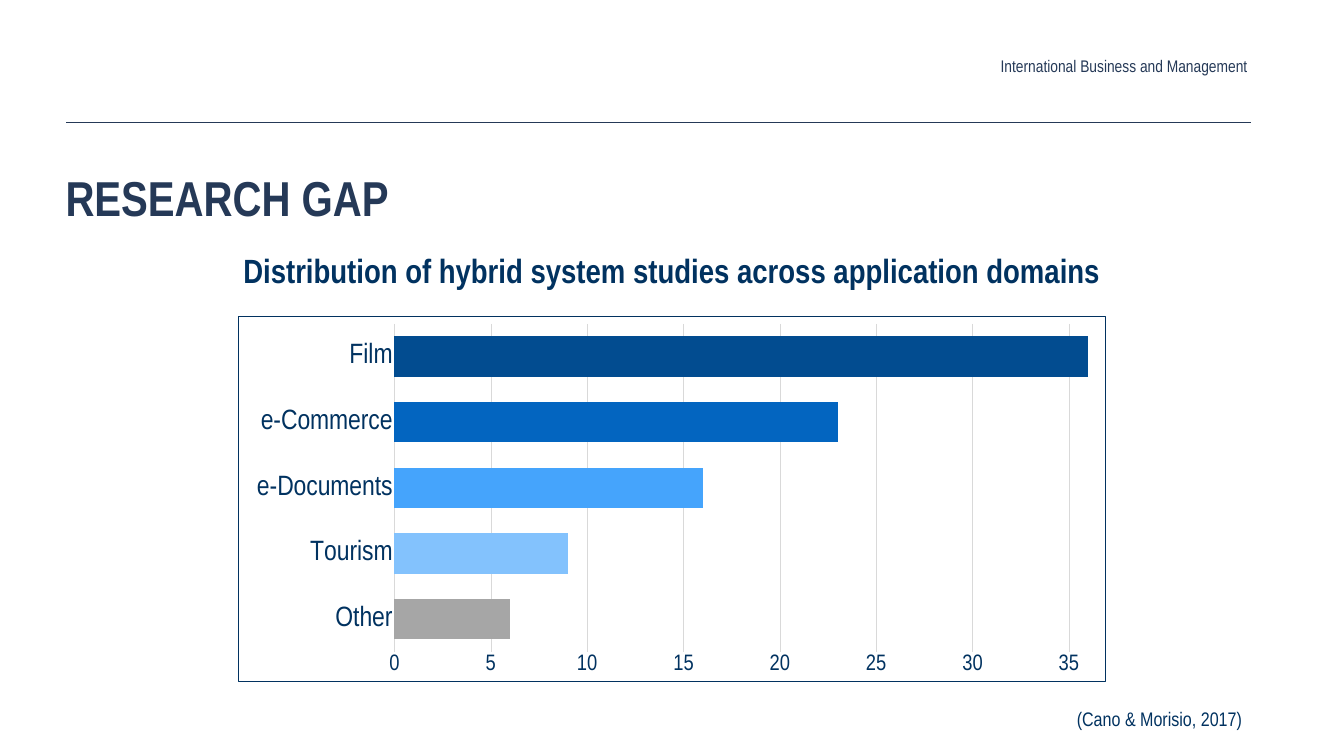
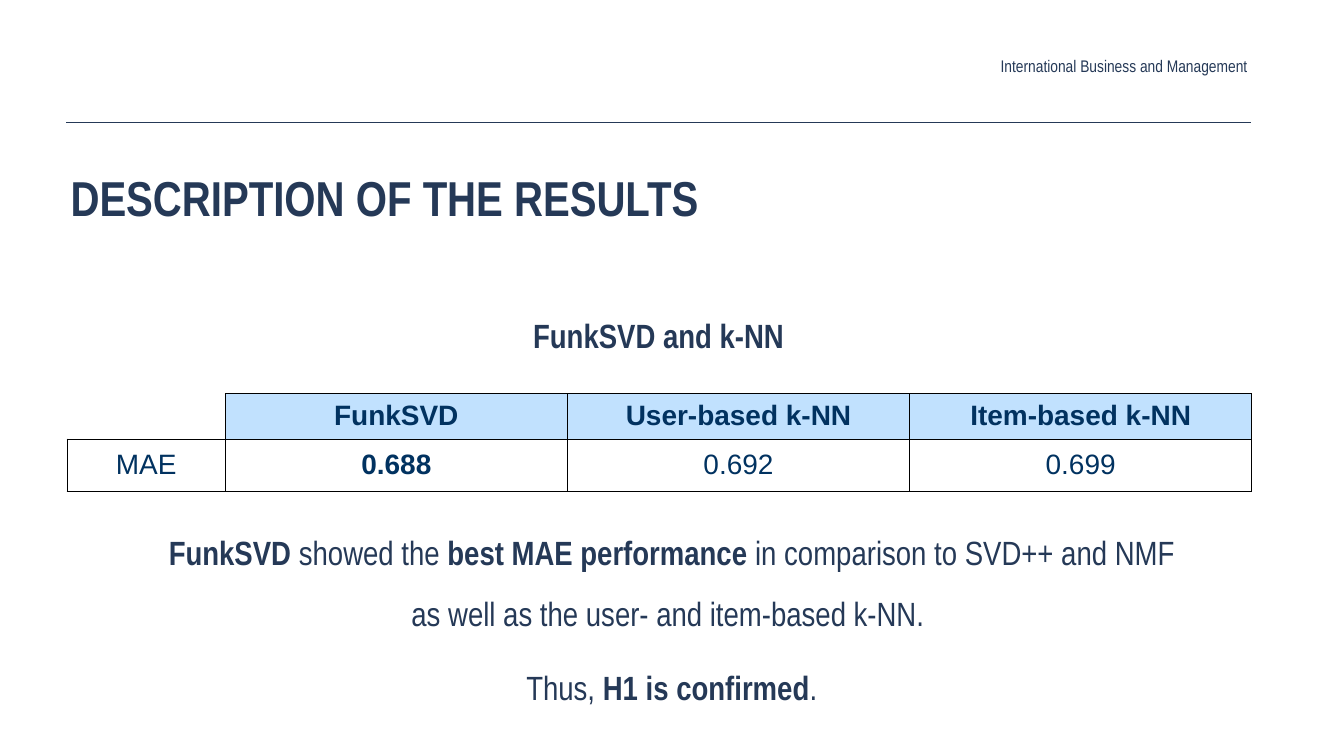
"""Build two research slides: a bar chart of application domains and a results table."""
import pptx
import pptx.chart.data
import pptx.dml.color
import pptx.enum.chart
import pptx.enum.shapes
import pptx.enum.text
import pptx.oxml
import pptx.oxml.ns
import pptx.util

RGBColor = pptx.dml.color.RGBColor
ALIGN = pptx.enum.text.PP_ALIGN
ANCHOR = pptx.enum.text.MSO_ANCHOR
NS = pptx.oxml.ns.nsdecls("a", "c")

INK = RGBColor(0x25, 0x39, 0x57)
NAVY = RGBColor(0x01, 0x32, 0x60)
BLACK = RGBColor(0, 0, 0)
GRID = RGBColor(0xD9, 0xD9, 0xD9)
HEADER_FILL = RGBColor(0xC1, 0xE1, 0xFE)
SERIES_BLUE = RGBColor(0x03, 0x65, 0xC0)

PX = 9144
WIDTH, HEIGHT = 2667, 1500
RULE = (131, 242, 2483, 242)
NARROW = "Arial Narrow"

PROGRAMME = "International Business and Management"

GAP_TITLE = "RESEARCH GAP"
CHART_TITLE = "Distribution of hybrid system studies across application domains"
CITATION = "(Cano & Morisio, 2017) "
DOMAINS = [
    ("Other", 6, RGBColor(0xA6, 0xA6, 0xA6)),
    ("Tourism", 9, RGBColor(0x83, 0xC2, 0xFD)),
    ("e-Documents", 16, RGBColor(0x45, 0xA4, 0xFC)),
    ("e-Commerce", 23, SERIES_BLUE),
    ("Film", 36, RGBColor(0x02, 0x4C, 0x90)),
]
PLOT_LAYOUT = {"x": 0.18, "y": 0.02, "w": 0.8, "h": 0.9}

RESULTS_TITLE = "DESCRIPTION OF THE RESULTS"
TABLE_TITLE = "FunkSVD and k-NN"
RESULTS = [
    ["", "FunkSVD", "User-based k-NN", "Item-based k-NN"],
    ["MAE", "0.688", "0.692", "0.699"],
]
BEST = "0.688"
COLUMNS = [314, 679, 679, 679]
ROWS = [90, 104]
FINDINGS = [
    [
        ("FunkSVD", True),
        (" showed the ", False),
        ("best MAE performance ", True),
        ("in comparison to SVD++ and NMF as well as the user- and item-based k-NN. ", False),
    ],
    [("Thus, ", False), ("H1 is confirmed", True), (".", False)],
]


def px(*lengths):
    return [pptx.util.Emu(n * PX) for n in lengths]


def style(font, size, color, bold=False, name=NARROW):
    font.size = pptx.util.Pt(size)
    font.name = name
    font.bold = bold
    font.color.rgb = color


def add_text(s, box, paragraphs, size, color, align=ALIGN.LEFT, inset=None,
             anchor=ANCHOR.TOP, grow=False, spacing=None, before=0):
    tf = s.shapes.add_textbox(*px(*box)).text_frame
    tf.word_wrap = True
    tf.vertical_anchor = anchor
    if grow:
        tf.auto_size = pptx.enum.text.MSO_AUTO_SIZE.SHAPE_TO_FIT_TEXT
    if inset is not None:
        tf.margin_left, tf.margin_top, tf.margin_right, tf.margin_bottom = px(*[inset] * 4)
    for i, runs in enumerate(paragraphs):
        p = tf.add_paragraph() if i else tf.paragraphs[0]
        p.alignment = align
        if spacing:
            p.line_spacing = spacing
        if i and before:
            p.space_before = pptx.util.Pt(before)
        for text, bold in runs:
            r = p.add_run()
            r.text = text
            style(r.font, size, color, bold)


def add_body(s, box, paragraphs):
    add_text(s, box, paragraphs, 48, INK, ALIGN.CENTER, inset=6, spacing=1.5, before=20)


def add_base(prs, title, left):
    s = prs.slides.add_slide(prs.slide_layouts[6])
    add_text(s, (left, 325, 2352, 253), [[(title, True)]], 70, INK, inset=8)
    line = s.shapes.add_connector(pptx.enum.shapes.MSO_CONNECTOR.STRAIGHT, *px(*RULE))
    line.line.color.rgb = INK
    line.line.width = pptx.util.Pt(1)
    line._element.spPr.append(pptx.oxml.parse_xml(f"<a:effectLst {NS}/>"))
    add_text(s, (1240, 103, 1243, 56), [[(PROGRAMME, False)]], 24, INK, ALIGN.RIGHT,
             inset=8, anchor=ANCHOR.MIDDLE, grow=True)
    return s


def add_domain_chart(s, box):
    data = pptx.chart.data.CategoryChartData()
    data.categories = [name for name, _, _ in DOMAINS]
    data.add_series("Series 1", [value for _, value, _ in DOMAINS])
    kind = pptx.enum.chart.XL_CHART_TYPE.BAR_CLUSTERED
    chart = s.shapes.add_chart(kind, *px(*box), data).chart
    chart.has_legend = False
    chart.has_title = False
    style(chart.font, 10, BLACK)

    plot = chart.plots[0]
    plot.gap_width = 63
    plot.vary_by_categories = False
    series = plot.series[0]
    series.format.fill.solid()
    series.format.fill.fore_color.rgb = SERIES_BLUE
    for i, (_, _, color) in enumerate(DOMAINS):
        fill = series.points[i].format.fill
        fill.solid()
        fill.fore_color.rgb = color

    cat, val = chart.category_axis, chart.value_axis
    for axis, size in ((cat, 40), (val, 32)):
        axis.major_tick_mark = axis.minor_tick_mark = pptx.enum.chart.XL_TICK_MARK.NONE
        style(axis.tick_labels.font, size, NAVY)
    val.minimum_scale, val.maximum_scale, val.major_unit = 0, 36, 5
    val.format.line.fill.background()
    for line in (cat.format.line, val.major_gridlines.format.line):
        line.color.rgb = GRID
        line.width = pptx.util.Pt(0.75)

    space = chart._chartSpace
    parts = "".join(f'<c:{k} val="{v}"/>' for k, v in PLOT_LAYOUT.items())
    area = space.chart.plotArea
    for old in area.findall(pptx.oxml.ns.qn("c:layout")):
        area.remove(old)
    area.insert(0, pptx.oxml.parse_xml(
        f'<c:layout {NS}><c:manualLayout><c:layoutTarget val="inner"/>'
        f'<c:xMode val="edge"/><c:yMode val="edge"/>{parts}</c:manualLayout></c:layout>'))
    space.chart.addnext(pptx.oxml.parse_xml(
        f'<c:spPr {NS}><a:noFill/><a:ln w="{pptx.util.Pt(1.5)}"><a:solidFill>'
        f'<a:srgbClr val="{NAVY}"/></a:solidFill></a:ln></c:spPr>'))


def set_borders(cell, sides):
    tc_pr = cell._tc.get_or_add_tcPr()
    for i, side in enumerate("LRTB"):
        fill = f'<a:solidFill><a:srgbClr val="{BLACK}"/></a:solidFill>'
        if side not in sides:
            fill = "<a:noFill/>"
        tc_pr.insert(i, pptx.oxml.parse_xml(
            f'<a:ln{side} {NS} w="{pptx.util.Pt(1)}">{fill}</a:ln{side}>'))


def add_results_table(s, left, top):
    box = px(left, top, sum(COLUMNS), sum(ROWS))
    table = s.shapes.add_table(len(ROWS), len(COLUMNS), *box).table
    table.first_row = table.horz_banding = False
    for column, width in zip(table.columns, px(*COLUMNS)):
        column.width = width
    for row, height in zip(table.rows, px(*ROWS)):
        row.height = height
    for i, texts in enumerate(RESULTS):
        for j, text in enumerate(texts):
            cell = table.cell(i, j)
            cell.vertical_anchor = ANCHOR.MIDDLE
            if i == 0 and text:
                cell.fill.solid()
                cell.fill.fore_color.rgb = HEADER_FILL
            else:
                cell.fill.background()
            set_borders(cell, "LRTB" if text else "RB")
            if text:
                p = cell.text_frame.paragraphs[0]
                p.alignment = ALIGN.CENTER
                r = p.add_run()
                r.text = text
                style(r.font, 40, NAVY, i == 0 or text == BEST, "Arial")


def main():
    prs = pptx.Presentation()
    prs.slide_width, prs.slide_height = px(WIDTH, HEIGHT)

    s = add_base(prs, GAP_TITLE, 122)
    add_text(s, (1563, 1397, 920, 57), [[(CITATION, False)]], 28, NAVY, ALIGN.RIGHT, grow=True)
    add_domain_chart(s, (472, 627, 1723, 726))
    add_text(s, (472, 490, 1723, 91), [[(CHART_TITLE, True)]], 48, NAVY, ALIGN.CENTER, grow=True)

    s = add_base(prs, RESULTS_TITLE, 132)
    add_body(s, (132, 578, 2350, 736), [[(TABLE_TITLE, True)]])
    add_results_table(s, 133, 781)
    add_body(s, (311, 1010, 2044, 422), FINDINGS)

    prs.save("out.pptx")


if __name__ == "__main__":
    main()
